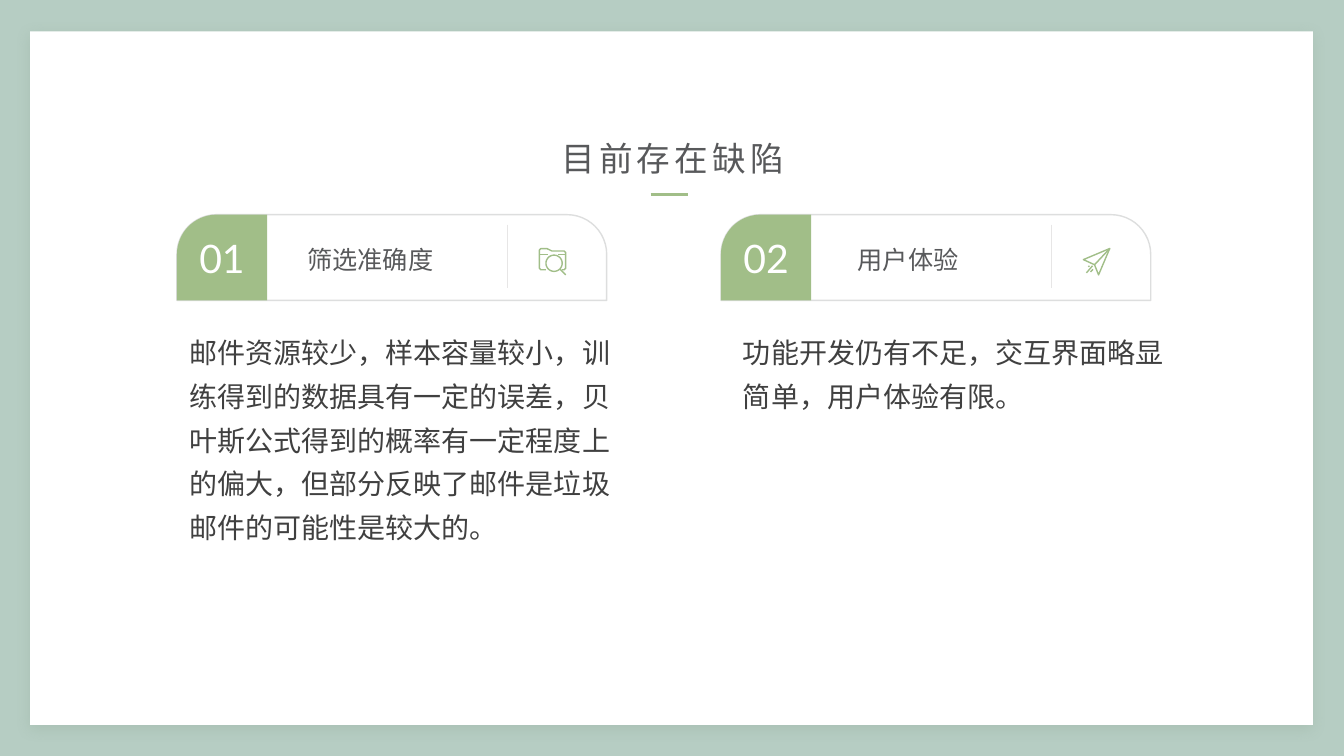
from math import cos, pi, sin

from lxml import etree
from pptx import Presentation
from pptx import util as u
from pptx.dml.color import RGBColor
from pptx.enum import shapes, text
from pptx.oxml import ns

# Content
TITLE = "目前存在缺陷"
LENS = [(15 + 8 * cos(k * pi / 16), 15 + 8 * sin(k * pi / 16)) for k in range(33)]
# Icons are strokes on a 27 x 27 grid
FOLDER = [
    [(7, 21.5), (2, 21.5), (0.6, 20), (0.6, 2), (2, 0.6), (8, 0.6), (13, 3),
     (25, 3), (26.5, 4.5), (26.5, 20), (25, 21.5), (23, 21.5)],
    [(0.6, 6.5), (9, 6.5)],
    [(19, 6.5), (26.5, 6.5)],
    LENS,
    [(21, 21), (26.5, 26.5)],
]
PLANE = [
    [(0.5, 11.5), (26.5, 0.5), (15.5, 26.5), (11.5, 16.5), (0.5, 11.5)],
    [(11.5, 16.5), (26.5, 0.5)],
    [(10, 21), (7.5, 23.5)],
    [(9.5, 17.5), (3.5, 24.5)],
    [(6.5, 17.5), (5.5, 18.5)],
]
DEFECTS = [
    dict(number="01", heading="筛选准确度", icon=FOLDER, left=4.46,
         heading_dx=3.03, detail_dx=0.06, detail_height=5.82,
         detail="邮件资源较少，样本容量较小，训练得到的数据具有一定的误差，"
                "贝叶斯公式得到的概率有一定程度上的偏大，"
                "但部分反映了邮件是垃圾邮件的可能性是较大的。"),
    dict(number="02", heading="用户体验", icon=PLANE, left=18.17,
         heading_dx=3.19, detail_dx=0.3, detail_height=3.58,
         detail="功能开发仍有不足，交互界面略显简单，用户体验有限。"),
]

# Colours and formats
SAGE = RGBColor(0xB6, 0xCD, 0xC3)
GREEN = RGBColor(0xA1, 0xBE, 0x88)
WHITE = RGBColor(0xFF, 0xFF, 0xFF)
BORDER = RGBColor(0xDD, 0xDE, 0xDE)
DIVIDER = RGBColor(0xE7, 0xE6, 0xE6)
GREY = RGBColor(0x58, 0x59, 0x5B)
DARK = RGBColor(0x40, 0x40, 0x40)
LEFT, CENTER = text.PP_ALIGN.LEFT, text.PP_ALIGN.CENTER
TITLE_FONT = dict(name="Noto Sans CJK JP", size=u.Pt(24), bold=False)
HEADING_FONT = dict(name="Noto Sans CJK JP", size=u.Pt(18), bold=False)
DETAIL_FONT = dict(name="Noto Sans CJK SC", size=u.Pt(20), bold=False)
NUMBER_FONT = dict(name="Lato", size=u.Pt(28), bold=False)

# Card geometry in cm
CARD_TOP, CARD_W, CARD_H, BADGE_W, RADIUS = 5.41, 10.83, 2.16, 2.27, 1.0
DIVIDER_DX, ICON_DX, ICON_TOP, ICON_SIZE = 8.32, 9.12, 6.25, 0.69

prs = Presentation()
prs.slide_width, prs.slide_height = u.Cm(33.87), u.Cm(19.05)
slide = prs.slides.add_slide(prs.slide_layouts[4])
title, heading_1, detail_1, heading_2, detail_2 = slide.placeholders


def paint(shape, fill=None, line=None, width=1):
    shape.shadow.inherit = False
    if fill is None:
        shape.fill.background()
    else:
        shape.fill.solid()
        shape.fill.fore_color.rgb = fill
    if line is None:
        shape.line.fill.background()
    else:
        shape.line.color.rgb = line
        shape.line.width = u.Pt(width)


def straight(x1, y1, x2, y2, color, width):
    rule = slide.shapes.add_connector(
        shapes.MSO_CONNECTOR.STRAIGHT, u.Cm(x1), u.Cm(y1), u.Cm(x2), u.Cm(y2))
    rule.line.color.rgb = color
    rule.line.width = u.Pt(width)
    etree.SubElement(rule._element.spPr, ns.qn("a:effectLst"))


def outline(points, close):
    start, *rest = [(u.Cm(x), u.Cm(y)) for x, y in points]
    builder = slide.shapes.build_freeform(*start)
    builder.add_line_segments(rest, close=close)
    return builder.convert_to_shape()


def write(shape, words, font, color, align, spacing=1.0, tracking=0):
    paragraph = shape.text_frame.paragraphs[0]
    properties = paragraph._p.get_or_add_pPr()
    properties.set("marL", "0")
    properties.set("indent", "0")
    etree.SubElement(properties, ns.qn("a:buNone"))
    layout = dict(alignment=align, line_spacing=spacing, space_before=u.Pt(0))
    for name, value in layout.items():
        setattr(paragraph, name, value)
    run = paragraph.add_run()
    run.text = words
    for name, value in font.items():
        setattr(run.font, name, value)
    run.font.color.rgb = color
    run_properties = run._r.get_or_add_rPr()
    etree.SubElement(run_properties, ns.qn("a:ea"), typeface=font["name"])
    if tracking:
        run_properties.set("spc", str(tracking * 100))


def fill_placeholder(holder, box, words, font, color, align, wrap=True, **spacing):
    for name, value in zip(("left", "top", "width", "height"), box):
        setattr(holder, name, u.Cm(value))
    frame = dict(word_wrap=wrap, auto_size=text.MSO_AUTO_SIZE.SHAPE_TO_FIT_TEXT,
                 vertical_anchor=text.MSO_ANCHOR.TOP)
    for name, value in frame.items():
        setattr(holder.text_frame, name, value)
    write(holder, words, font, color, align, **spacing)
    slide.shapes._spTree.append(holder._element)  # bring to front


# Background and white panel with soft shadow
slide.background.fill.solid()
slide.background.fill.fore_color.rgb = SAGE
panel = slide.shapes.add_shape(
    shapes.MSO_SHAPE.RECTANGLE, u.Cm(0.76), u.Cm(0.79), u.Cm(32.33), u.Cm(17.48))
paint(panel, WHITE)
effects = panel._element.spPr.find(ns.qn("a:effectLst"))
shadow = etree.SubElement(
    effects, ns.qn("a:outerShdw"), blurRad=str(u.Pt(10)), dist=str(u.Pt(3)),
    dir="5400000", algn="t", rotWithShape="0")
tint = etree.SubElement(shadow, ns.qn("a:srgbClr"), val="375031")
etree.SubElement(tint, ns.qn("a:alpha"), val="10000")

# Title with short rule
fill_placeholder(title, (13.84, 3.35, 6.22, 1.27), TITLE, TITLE_FONT, GREY,
                 CENTER, wrap=False, tracking=3)
straight(16.4, 4.9, 17.33, 4.9, GREEN, 1.5)

# Defect cards
holders = [(heading_1, detail_1), (heading_2, detail_2)]
for defect, (heading, detail) in zip(DEFECTS, holders):
    left = defect["left"]
    bottom = CARD_TOP + CARD_H
    card = slide.shapes.add_shape(
        shapes.MSO_SHAPE.ROUND_2_SAME_RECTANGLE,
        u.Cm(left), u.Cm(CARD_TOP), u.Cm(CARD_W), u.Cm(CARD_H))
    card.adjustments[0] = RADIUS / CARD_H
    paint(card, WHITE, BORDER)

    # Number badge with one round corner
    corner = [(left + RADIUS * (1 - cos(k * pi / 32)),
               CARD_TOP + RADIUS * (1 - sin(k * pi / 32))) for k in range(17)]
    right = left + BADGE_W
    badge = outline(corner + [(right, CARD_TOP), (right, bottom), (left, bottom)], True)
    paint(badge, GREEN)
    badge.text_frame.vertical_anchor = text.MSO_ANCHOR.MIDDLE
    write(badge, defect["number"], NUMBER_FONT, WHITE, CENTER)

    # Divider and icon
    divider = left + DIVIDER_DX
    straight(divider, 5.66, divider, 7.26, DIVIDER, 0.5)
    scale = ICON_SIZE / 27
    for stroke in defect["icon"]:
        points = [(left + ICON_DX + x * scale, ICON_TOP + y * scale) for x, y in stroke]
        if len(points) == 2:
            straight(*points[0], *points[1], GREEN, 1)
        else:
            paint(outline(points, stroke[0] == stroke[-1]), line=GREEN)

    # Heading and detail
    fill_placeholder(heading, (left + defect["heading_dx"], 6.02, 6.63, 1.02),
                     defect["heading"], HEADING_FONT, GREY, LEFT)
    fill_placeholder(detail, (left + defect["detail_dx"], 8.08, 11.3, defect["detail_height"]),
                     defect["detail"], DETAIL_FONT, DARK, LEFT, spacing=1.3)

prs.save("out.pptx")
